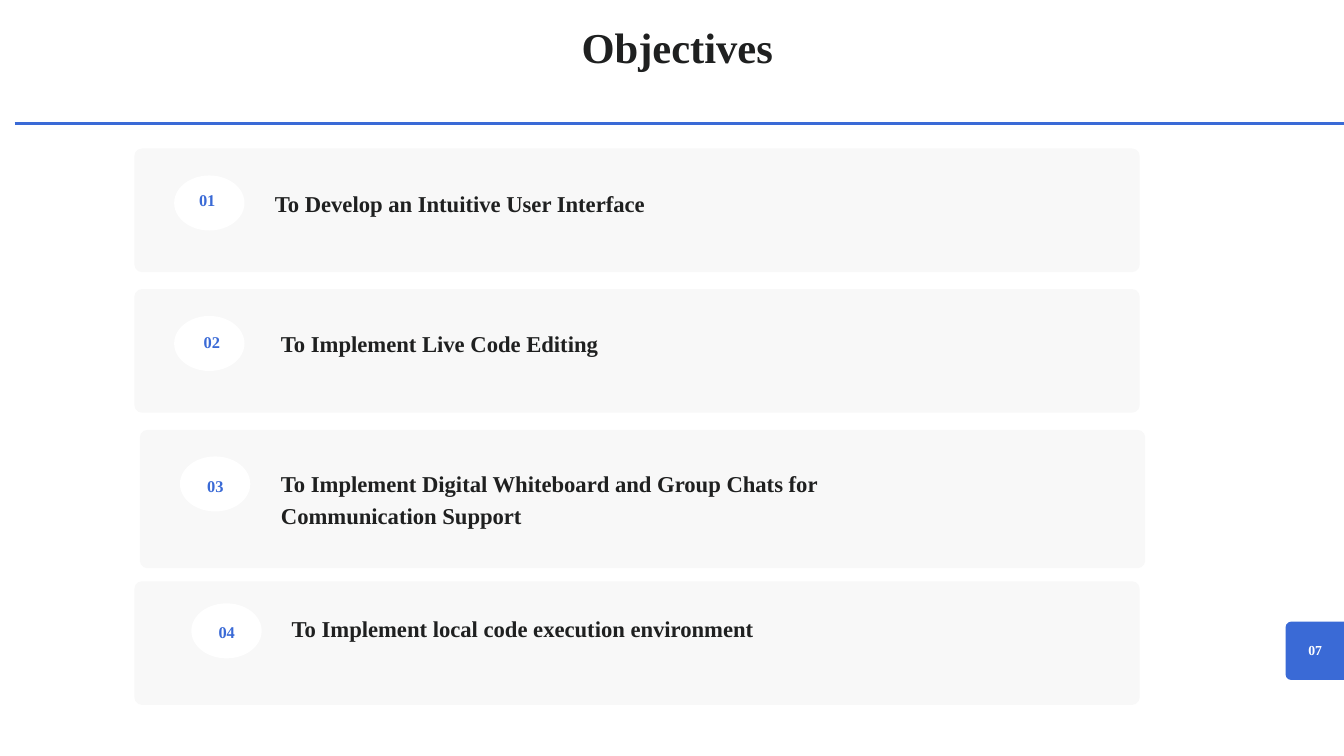
from pptx import Presentation
from pptx.dml.color import RGBColor
from pptx.enum.shapes import MSO_CONNECTOR as Link, MSO_SHAPE as Kind
from pptx.enum.text import MSO_AUTO_SIZE as Fit, PP_ALIGN as Align
from pptx.oxml.ns import qn
from pptx.util import Pt
from lxml.etree import SubElement

BLUE = RGBColor(0x3A, 0x6A, 0xD6)
INK = RGBColor(0x1F, 0x20, 0x20)
PALE = RGBColor(0xF8, 0xF8, 0xF8)
WHITE = RGBColor(0xFF, 0xFF, 0xFF)

# Goal, card (left, top, height), then left and top of the oval, number and text
GOALS = [
    ("To Develop an Intuitive User Interface",
     (144, 159.1, 132.5), (186.6, 188), (194.4, 200.2), (294.5, 198)),
    ("To Implement Live Code Editing",
     (144, 309.7, 132.5), (186.6, 338.5), (199.4, 352.1), (301, 348.5)),
    ("To Implement Digital Whiteboard and Group Chats for Communication Support",
     (149.9, 460.6, 148.2), (192.8, 489), (203, 506.9), (301, 498.2)),
    ("To Implement local code execution environment",
     (144, 622.8, 132.5), (205, 646.4), (215.3, 663.1), (312.5, 653.8)),
]


class Deck:
    font = "Times New Roman"

    def __init__(self, slide):
        self.slide = slide

    def shape(self, kind, left, top, width, height, fill):
        item = self.slide.shapes.add_shape(
            kind, Pt(left), Pt(top), Pt(width), Pt(height))
        item.shadow.inherit = False
        item.fill.solid()
        item.fill.fore_color.rgb = fill
        item.line.fill.background()
        return item

    def card(self, left, top, width, height, fill, radius):
        item = self.shape(Kind.ROUNDED_RECTANGLE, left, top, width, height, fill)
        item.adjustments[0] = radius / min(width, height)

    def oval(self, left, top, width, height, fill):
        self.shape(Kind.OVAL, left, top, width, height, fill)

    def rule(self, left, right, top, color, width):
        item = self.slide.shapes.add_connector(
            Link.STRAIGHT, Pt(left), Pt(top), Pt(right), Pt(top))
        item.line.color.rgb = color
        item.line.width = Pt(width)
        SubElement(item._element.spPr, qn("a:effectLst"))

    def text(self, words, left, top, width, height, size, lead, color,
             align=Align.CENTER):
        box = self.slide.shapes.add_textbox(
            Pt(left), Pt(top), Pt(width), Pt(height))
        frame = box.text_frame
        frame.word_wrap = True
        frame.auto_size = Fit.SHAPE_TO_FIT_TEXT
        frame.margin_left = frame.margin_right = 0
        frame.margin_top = frame.margin_bottom = 0
        para = frame.paragraphs[0]
        para.alignment = align
        para.line_spacing = Pt(lead)
        run = para.add_run()
        run.text = words
        run.font.name = self.font
        run.font.size = Pt(size)
        run.font.bold = True
        run.font.color.rgb = color


def main():
    show = Presentation()
    show.slide_width, show.slide_height = Pt(1440), Pt(810)
    deck = Deck(show.slides.add_slide(show.slide_layouts[6]))

    deck.card(1377.4, 666, 74.9, 62.6, BLUE, 6.2)
    deck.text("Objectives", 570.2, 13.7, 311, 67.7, 45.6, 63.9, INK)
    deck.text("07", 1391.8, 684.7, 34.6, 21.6, 14.7, 20.6, WHITE)
    deck.rule(15.8, 1463.8, 132.5, BLUE, 3)

    for num, (goal, card, oval, mark, text) in enumerate(GOALS, 1):
        left, top, height = card
        deck.card(left, top, 1077.1, height, PALE, 8.2)
        deck.oval(*oval, 75.4, 59, WHITE)
        deck.text(goal, *text, 648.7, 36.7, 24.3, 34.1, INK, Align.LEFT)
        deck.text(f"{num:02}", *mark, 55.4, 25.9, 17.6, 24.6, BLUE)

    show.save("out.pptx")


if __name__ == "__main__":
    main()
